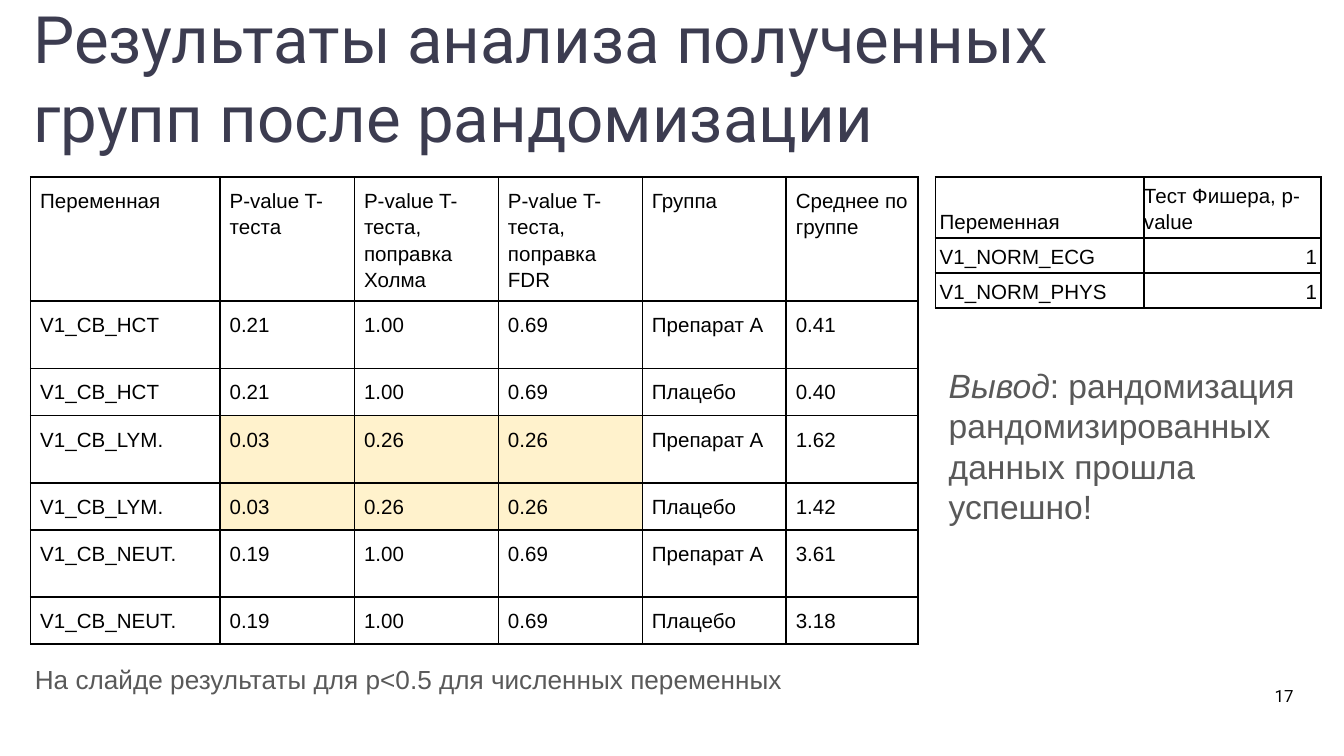
from dataclasses import dataclass

from lxml.etree import SubElement
from pptx import Presentation
from pptx.dml.color import RGBColor as Rgb
from pptx.enum.text import MSO_ANCHOR as Anchor, MSO_AUTO_SIZE as AutoSize, PP_ALIGN as Align
from pptx.oxml.ns import qn
from pptx.util import Cm, Pt


@dataclass(frozen=True)
class Theme:
    heading_font: str = "Roboto"
    body_font: str = "Arial"
    heading: str = "3C3C50"
    body: str = "595959"
    ink: str = "000000"
    highlight: str = "FFF2CC"
    title_size: int = 35
    conclusion_size: int = 18
    note_size: int = 14
    table_size: int = 11
    number_size: int = 9
    border_width: int = 1
    table_spacing: float = 1.15


class SlideBuilder:
    def __init__(self, deck, theme):
        self.theme = theme
        self.page = deck.slides.add_slide(deck.slide_layouts[5])

    def add_run(self, para, text, size, color, font=None, italic=None):
        span = para.add_run()
        span.text = text
        span.font.size = Pt(size)
        span.font.name = font or self.theme.body_font
        span.font.color.rgb = Rgb.from_string(color)
        span.font.italic = italic

    def set_frame(self, frame, inset, anchor=Anchor.TOP):
        frame.word_wrap = True
        frame.auto_size = AutoSize.NONE
        frame.vertical_anchor = anchor
        frame.margin_left = frame.margin_right = Cm(inset)
        frame.margin_top = frame.margin_bottom = Cm(inset)

    def title(self, text, left, top, width, height):
        box = self.page.shapes.title
        box.left, box.top, box.width, box.height = map(Cm, (left, top, width, height))
        self.set_frame(box.text_frame, 0.05, Anchor.MIDDLE)
        para = box.text_frame.paragraphs[0]
        para.alignment = Align.LEFT
        self.add_run(para, text, self.theme.title_size, self.theme.heading,
                     self.theme.heading_font)

    def text_box(self, left, top, width, height, inset=0.25, anchor=Anchor.TOP,
                 align=Align.LEFT):
        """Add an empty text box and return its first paragraph."""
        box = self.page.shapes.add_textbox(*map(Cm, (left, top, width, height)))
        self.set_frame(box.text_frame, inset, anchor)
        para = box.text_frame.paragraphs[0]
        para.alignment = align
        return para

    def note(self, text, *bounds):
        self.add_run(self.text_box(*bounds), text, self.theme.note_size, self.theme.body)

    def conclusion(self, lead, text, *bounds):
        para = self.text_box(*bounds)
        size, color = self.theme.conclusion_size, self.theme.body
        self.add_run(para, lead, size, color, italic=True)
        self.add_run(para, text, size, color, italic=False)

    def page_number(self, text, *bounds):
        para = self.text_box(*bounds, inset=0.05, anchor=Anchor.MIDDLE, align=Align.CENTER)
        self.add_run(para, text, self.theme.number_size, self.theme.ink,
                     self.theme.heading_font)

    def table(self, rows, left, top, widths, heights, inset, anchor=Anchor.TOP):
        frame = self.page.shapes.add_table(
            len(rows), len(widths), Cm(left), Cm(top), Cm(sum(widths)), Cm(sum(heights)))
        grid = frame.table
        grid.first_row = grid.horz_banding = False
        for column, width in zip(grid.columns, widths):
            column.width = Cm(width)
        for row, height, values in zip(grid.rows, heights, rows):
            row.height = Cm(height)
            for cell, value in zip(row.cells, values):
                self.fill_cell(cell, value, inset, anchor)
        return grid

    def fill_cell(self, cell, value, inset, anchor):
        cell.margin_left = cell.margin_right = Cm(inset)
        cell.margin_top = cell.margin_bottom = Cm(inset)
        cell.vertical_anchor = anchor
        para = cell.text_frame.paragraphs[0]
        para.line_spacing = self.theme.table_spacing
        self.add_run(para, value, self.theme.table_size, self.theme.ink)
        self.add_borders(cell)
        cell.fill.background()

    def add_borders(self, cell):
        properties = cell._tc.get_or_add_tcPr()
        for side in ("lnL", "lnR", "lnT", "lnB"):
            line = SubElement(properties, qn(f"a:{side}"), w=str(Pt(self.theme.border_width)))
            paint = SubElement(line, qn("a:solidFill"))
            SubElement(paint, qn("a:srgbClr"), val=self.theme.ink)

    def highlight(self, cell):
        cell.fill.solid()
        cell.fill.fore_color.rgb = Rgb.from_string(self.theme.highlight)


def numeric_rows():
    """Return the header and two rows, drug and placebo, per variable."""
    rows = [("Переменная", "P-value T-теста", "P-value T-теста, поправка Холма",
             "P-value T-теста, поправка FDR", "Группа", "Среднее по группе")]
    results = [
        ("V1_CB_HCT", ("0.21", "1.00", "0.69"), ("0.41", "0.40")),
        ("V1_CB_LYM.", ("0.03", "0.26", "0.26"), ("1.62", "1.42")),
        ("V1_CB_NEUT.", ("0.19", "1.00", "0.69"), ("3.61", "3.18")),
    ]
    for variable, p_values, means in results:
        for group, mean in zip(("Препарат А", "Плацебо"), means):
            rows.append((variable, *p_values, group, mean))
    return rows


def main():
    deck = Presentation()
    deck.slide_width, deck.slide_height = Cm(25.4), Cm(14.29)
    slide = SlideBuilder(deck, Theme())
    tables_top = 3.35

    slide.title("Результаты анализа полученных групп после рандомизации", 0.58, 0, 21.44, 2.9)
    slide.page_number("17", 23.57, 12.73, 1.4, 0.86)

    rows = numeric_rows()
    t_test = slide.table(rows, 0.58, tables_top, [3.58, 2.54, 2.72, 2.72, 2.72, 2.49],
                         [2.33] + [1.27, 0.89] * 3, 0.18)
    for row_index, values in enumerate(rows[1:], start=1):
        if float(values[1]) < 0.05:
            for column_index in range(1, 4):
                slide.highlight(t_test.cell(row_index, column_index))

    slide.note("На слайде результаты для p<0.5 для численных переменных",
               0.41, 12.29, 16.76, 0.86)

    fisher_rows = [("Переменная", "Тест Фишера, p-value"),
                   ("V1_NORM_ECG", "1"), ("V1_NORM_PHYS", "1")]
    fisher = slide.table(fisher_rows, 17.68, tables_top, [3.94, 3.35],
                         [1.13, 0.64, 0.64], 0.08, Anchor.BOTTOM)
    header = fisher.cell(0, 1)
    header.margin_left = header.margin_right = 0
    for row_index in (1, 2):
        fisher.cell(row_index, 1).text_frame.paragraphs[0].alignment = Align.RIGHT

    slide.conclusion("Вывод", ": рандомизация рандомизированных данных прошла успешно!",
                     17.68, 6.65, 7.7, 4.24)
    deck.save("out.pptx")


if __name__ == "__main__":
    main()
